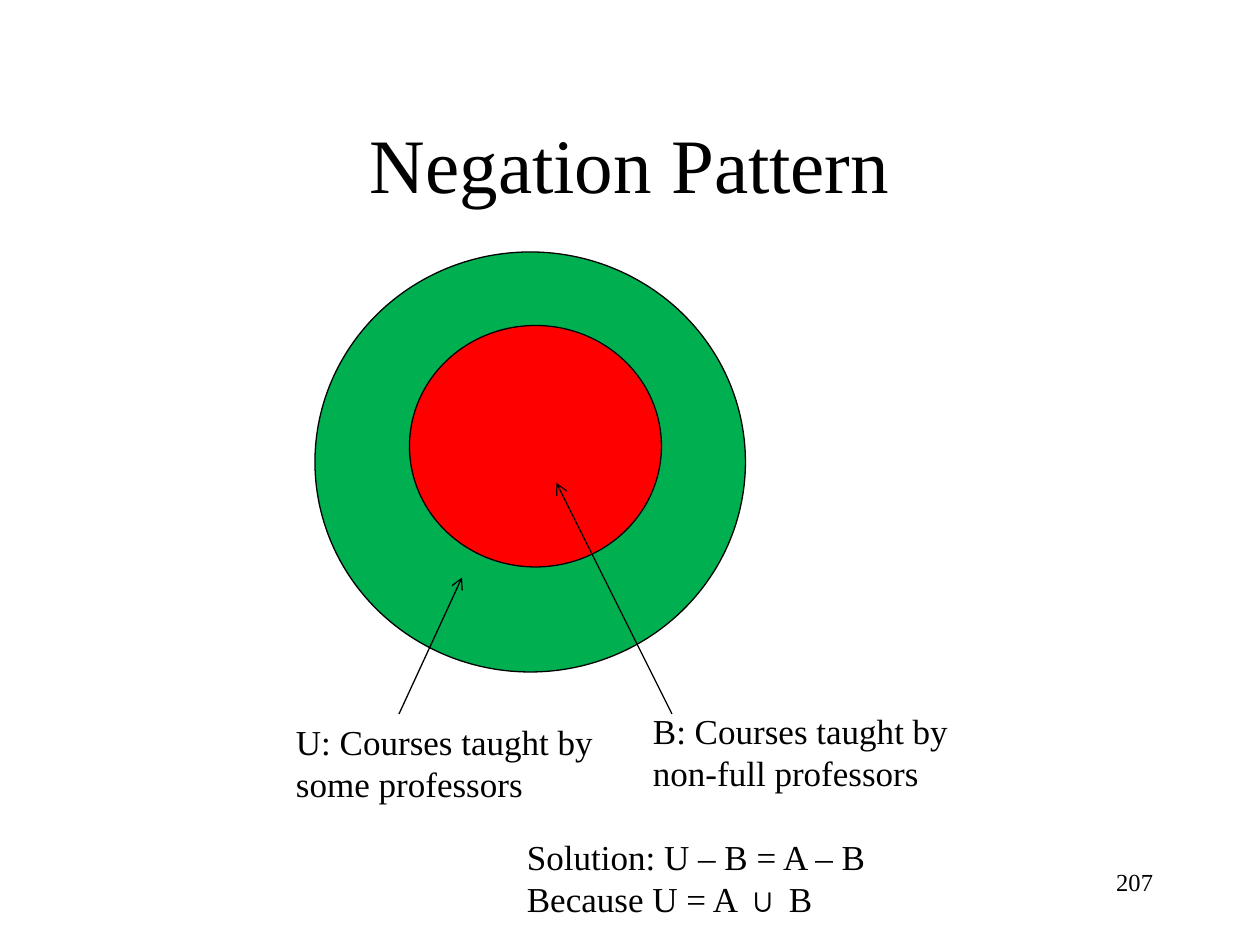
from lxml import etree
from pptx import Presentation
from pptx import util as u
from pptx.dml.color import RGBColor
from pptx.enum import shapes, text
from pptx.oxml.ns import qn

BLACK = RGBColor(0, 0, 0)
GREEN = RGBColor(0x00, 0xB0, 0x50)
RED = RGBColor(0xFF, 0, 0)
FONT = "Times New Roman"
WIDE, HIGH = 10, 7.5
GRID = 12  # cells per inch

# Content: places are in grid cells (left, top, width, height)
TITLE = "Negation Pattern"
TITLE_BOX = (9, 8, 102, 15)
SETS = [
    (GREEN, (30, 24, 41, 40)),
    (RED, (39, 31, 24, 23)),
]
NOTES = [
    (["U: Courses taught by", "some professors"], (27, 68, 32, 9.2)),
    (["B: Courses taught by", "non-full professors"], (61, 67, 32, 9.2)),
    (["Solution: U – B = A – B", "Because U = A ∪ B"], (49, 79, 36, 9.2)),
]
ARROWS = [
    ((38, 68), (44, 55)),
    ((64, 68), (53, 46)),
]
PAGE = "207"
PAGE_BOX = (86, 82, 25, 6)


def cells(nums):
    return [u.Inches(n / GRID) for n in nums]


def write(shape, lines, size=20, align=text.PP_ALIGN.LEFT,
          anchor=text.MSO_ANCHOR.TOP, wrap=True):
    frame = shape.text_frame
    frame.word_wrap = wrap
    frame.vertical_anchor = anchor
    frame.text = "\n".join(lines)
    for para in frame.paragraphs:
        para.alignment = align
        para.font.name = FONT
        para.font.size = u.Pt(size)
        para.font.color.rgb = BLACK


def outline(shape):
    shape.line.color.rgb = BLACK
    shape.line.width = u.Pt(0.75)


deck = Presentation()
deck.slide_width, deck.slide_height = u.Inches(WIDE), u.Inches(HIGH)
slide = deck.slides.add_slide(deck.slide_layouts[5])
parts = slide.shapes

# Title
title = parts.title
title.left, title.top, title.width, title.height = cells(TITLE_BOX)
write(title, [TITLE], size=44, align=text.PP_ALIGN.CENTER,
      anchor=text.MSO_ANCHOR.MIDDLE)

# Nested sets
for color, box in SETS:
    disc = parts.add_shape(shapes.MSO_SHAPE.OVAL, *cells(box))
    disc.shadow.inherit = False
    disc.fill.solid()
    disc.fill.fore_color.rgb = color
    outline(disc)

# Labels and solution
for lines, box in NOTES:
    write(parts.add_textbox(*cells(box)), lines, wrap=False)

# Arrows from labels to sets
for start, end in ARROWS:
    arrow = parts.add_connector(shapes.MSO_CONNECTOR.STRAIGHT,
                                *cells(start + end))
    outline(arrow)
    tip = etree.SubElement(arrow.line._get_or_add_ln(), qn("a:tailEnd"))
    tip.set("type", "arrow")
    etree.SubElement(arrow._element.spPr, qn("a:effectLst"))

# Page number
write(parts.add_textbox(*cells(PAGE_BOX)), [PAGE], size=14,
      align=text.PP_ALIGN.RIGHT)

deck.save("out.pptx")
